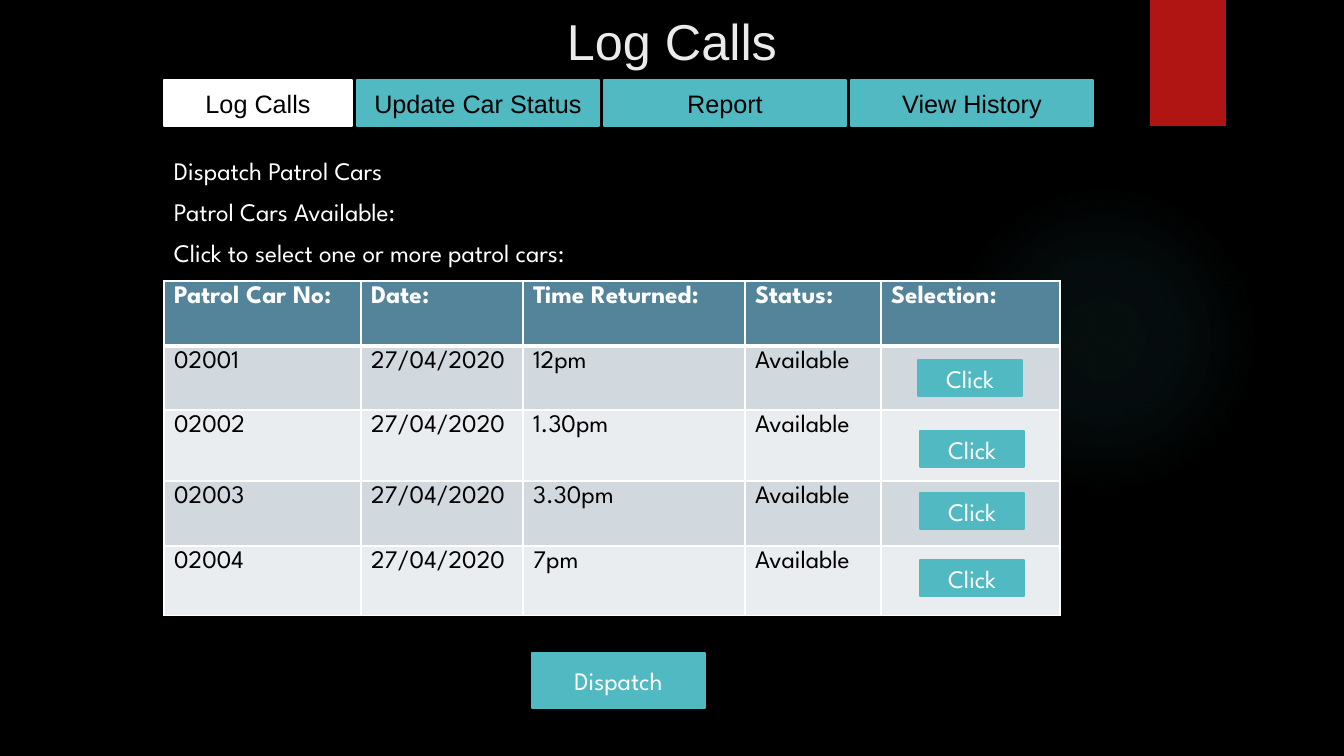
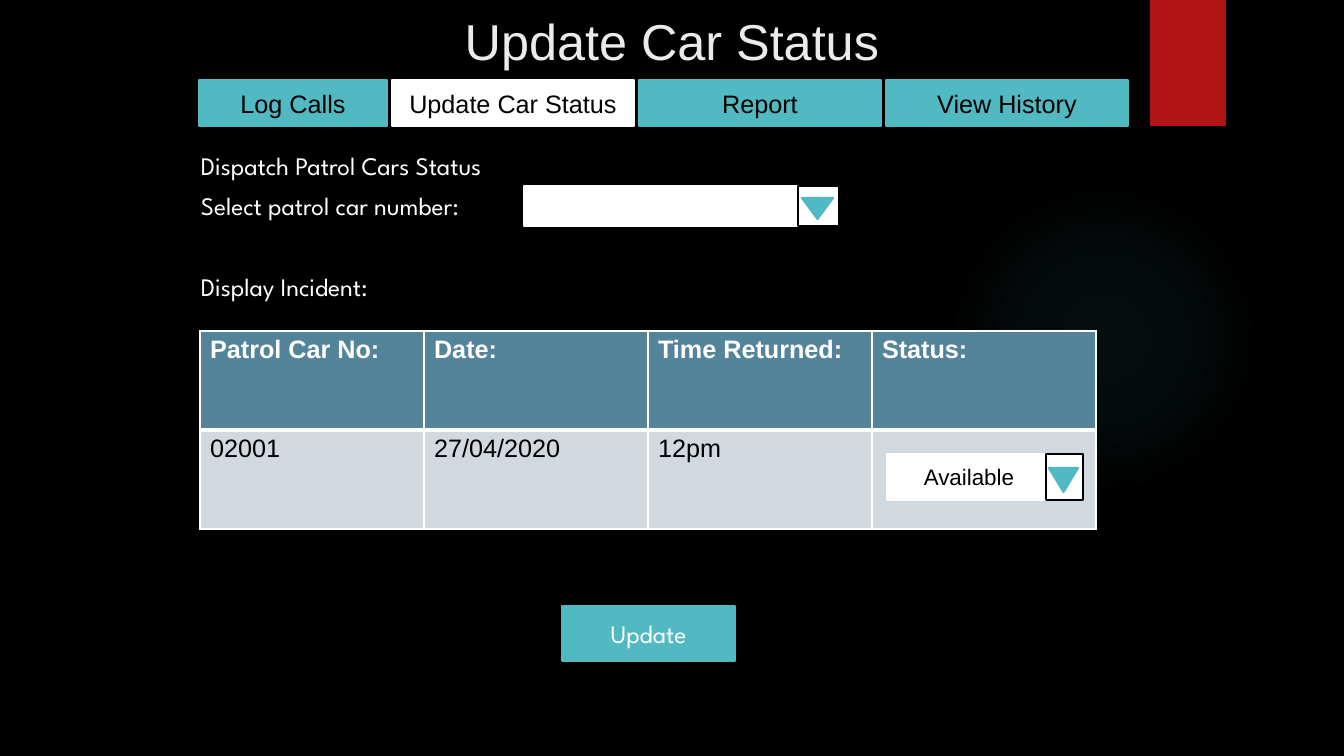
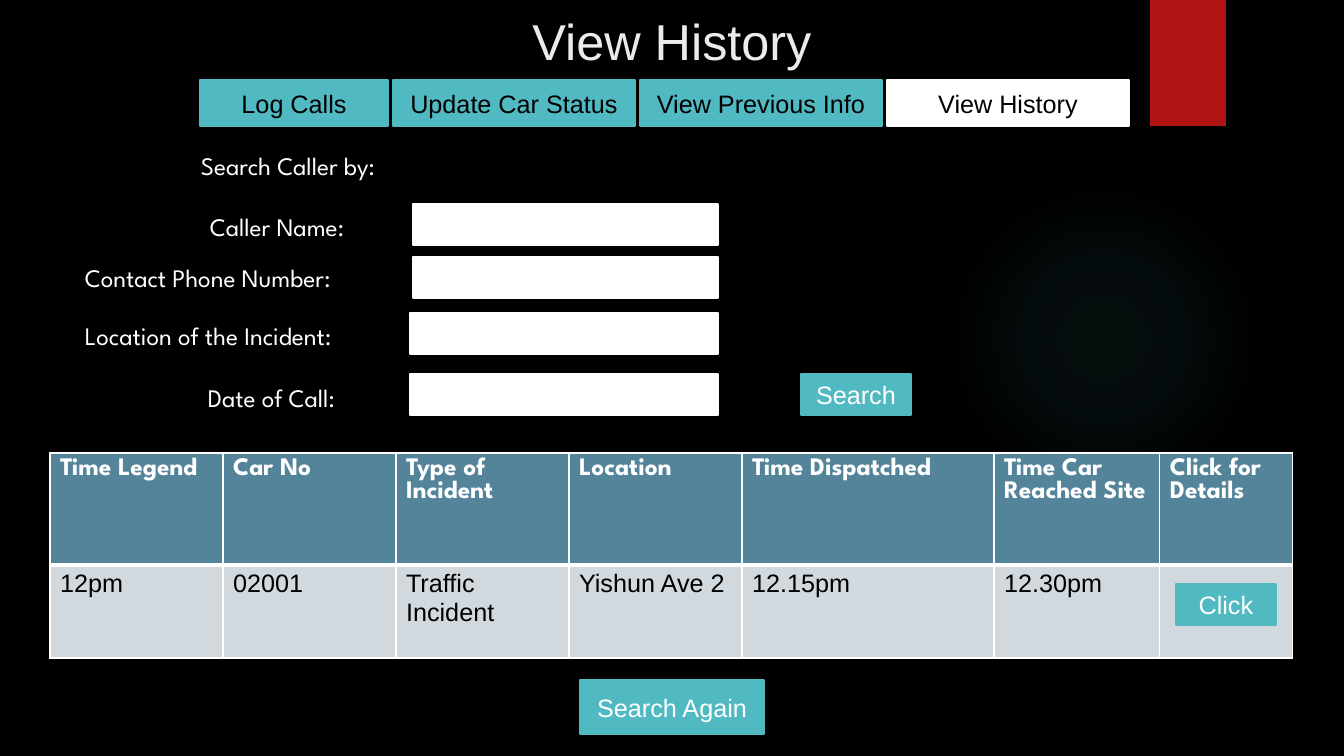
from pptx import Presentation
from pptx.dml.color import RGBColor
from pptx.enum.shapes import MSO_SHAPE
from pptx.enum.text import MSO_ANCHOR, MSO_AUTO_SIZE, PP_ALIGN
from pptx.oxml import parse_xml
from pptx.oxml.ns import nsdecls
from pptx.util import Pt

EMU_PER_PIXEL = 914400 / 100.8
BLACK, WHITE, TITLE_GREY = "000000", "FFFFFF", "EBEBEB"
TEAL, RED, HEADER_BLUE = "50B9C1", "B01513", "54849A"
BAND_FILLS = ("D1D9DE", "E9EDEF")
SANS, DISPLAY = "Arial", "League Spartan"
TAB_WIDTHS, TAB_GAP = (188, 242, 242, 242), 5


def px(pixels):
    """Turn pixels into EMU."""
    return round(pixels * EMU_PER_PIXEL)


def rgb(color):
    """Turn a hex string into a colour."""
    return RGBColor.from_string(color)


def format_text(text_frame, font, size, color, bold=False, align=PP_ALIGN.LEFT):
    """Format every run of a text frame."""
    for paragraph in text_frame.paragraphs:
        paragraph.alignment = align
        for run in paragraph.runs:
            run.font.name = font
            run.font.size = Pt(size)
            run.font.bold = bold
            run.font.color.rgb = rgb(color)


def add_box(slide, box, fill, line=None, preset=MSO_SHAPE.RECTANGLE):
    """Add a filled preset shape; the outline takes the fill colour by default."""
    shape = slide.shapes.add_shape(preset, *map(px, box))
    shape.shadow.inherit = False
    shape.fill.solid()
    shape.fill.fore_color.rgb = rgb(fill)
    shape.line.color.rgb = rgb(line or fill)
    shape.line.width = Pt(1.5)
    return shape


def add_button(slide, box, text, font=DISPLAY, color=WHITE, fill=TEAL):
    """Add a box with a centred caption."""
    shape = add_box(slide, box, fill)
    shape.text_frame.text = text
    shape.text_frame.vertical_anchor = MSO_ANCHOR.MIDDLE
    format_text(shape.text_frame, font, 18, color, align=PP_ALIGN.CENTER)


def add_label(slide, left, top, width, text, font=DISPLAY, size=18, color=WHITE):
    """Add a one-line text box."""
    text_box = slide.shapes.add_textbox(px(left), px(top), px(width), px(40))
    text_box.text_frame.word_wrap = True
    text_box.text_frame.text = text
    format_text(text_box.text_frame, font, size, color)


def add_arrow_box(slide, box, triangle):
    """Add the arrow part of a drop-down list."""
    add_box(slide, box, WHITE, line=BLACK)
    add_box(slide, triangle, TEAL, preset=MSO_SHAPE.ISOSCELES_TRIANGLE).rotation = 180


def set_borders(cell, top, bottom):
    """Draw white cell borders, with top and bottom widths in points."""
    properties = cell._tc.get_or_add_tcPr()
    widths = {"lnL": 1, "lnR": 1, "lnT": top, "lnB": bottom}
    for index, (side, width) in enumerate(widths.items()):
        properties.insert(index, parse_xml(
            f'<a:{side} {nsdecls("a")} w="{Pt(width)}"><a:solidFill>'
            f'<a:srgbClr val="{WHITE}"/></a:solidFill></a:{side}>'))


def add_grid(slide, left, top, widths, heights, rows, header_font, body_font):
    """Add a table with a blue header row and banded body rows."""
    frame = slide.shapes.add_table(len(rows), len(widths), px(left), px(top),
                                   px(sum(widths)), px(sum(heights)))
    table = frame.table
    table.first_row = table.horz_banding = False
    for column, width in zip(table.columns, widths):
        column.width = px(width)
    for index, (row, height, texts) in enumerate(zip(table.rows, heights, rows)):
        row.height = px(height)
        header = index == 0
        for cell, text in zip(row.cells, texts):
            cell.text = text
            format_text(cell.text_frame, header_font if header else body_font, 18,
                        WHITE if header else BLACK, bold=header)
            cell.fill.solid()
            cell.fill.fore_color.rgb = rgb(HEADER_BLUE if header else BAND_FILLS[(index - 1) % 2])
            set_borders(cell, top=3 if index == 1 else 1, bottom=3 if header else 1)


def add_backdrop(slide):
    """Add the faint round glow and the red band."""
    glow = add_box(slide, (949, 184, 310, 310), TEAL, preset=MSO_SHAPE.OVAL)
    glow.line.fill.background()
    stops = "".join(
        f'<a:gs pos="{position}000"><a:srgbClr val="{TEAL}"><a:alpha val="{alpha}000"/>'
        f'</a:srgbClr></a:gs>' for position, alpha in ((0, 7), (36, 6), (69, 0)))
    gradient = parse_xml(
        f'<a:gradFill {nsdecls("a")}><a:gsLst>{stops}</a:gsLst><a:path path="circle">'
        '<a:fillToRect l="50000" t="50000" r="50000" b="50000"/></a:path></a:gradFill>')
    properties = glow._element.spPr
    properties.replace(properties.solidFill, gradient)
    add_box(slide, (1150, 0, 76, 126), RED).line.fill.background()


def add_screen(presentation, title, tabs_left, tabs, active):
    """Add a slide with its backdrop, title and tab bar."""
    slide = presentation.slides.add_slide(presentation.slide_layouts[5])
    add_backdrop(slide)
    heading = slide.shapes.title
    heading.left, heading.top, heading.width, heading.height = map(px, (392, 0, 560, 81))
    text_frame = heading.text_frame
    text_frame.text = title
    text_frame.auto_size = MSO_AUTO_SIZE.NONE
    text_frame.vertical_anchor = MSO_ANCHOR.MIDDLE
    format_text(text_frame, SANS, 36, TITLE_GREY, align=PP_ALIGN.CENTER)
    left = tabs_left
    for tab, width in zip(tabs, TAB_WIDTHS):
        add_button(slide, (left, 80, width, 46), tab, SANS, BLACK,
                   WHITE if tab == active else TEAL)
        left += width + TAB_GAP
    return slide


def build_log_calls(presentation):
    """Build the dispatch screen."""
    tabs = ("Log Calls", "Update Car Status", "Report", "View History")
    slide = add_screen(presentation, "Log Calls", 164, tabs, "Log Calls")
    labels = ("Dispatch Patrol Cars", "Patrol Cars Available:",
              "Click to select one or more patrol cars:")
    for index, label in enumerate(labels):
        add_label(slide, 164, 150 + 41 * index, 521, label)
    returns = (("02001", "12pm"), ("02002", "1.30pm"), ("02003", "3.30pm"), ("02004", "7pm"))
    rows = [("Patrol Car No:", "Date:", "Time Returned:", "Status:", "Selection:")]
    rows += [(car, "27/04/2020", time, "Available", "") for car, time in returns]
    add_grid(slide, 164, 281, (197, 162, 222, 136, 179), (65, 64, 71, 65, 70),
             rows, DISPLAY, DISPLAY)
    for left, top in ((918, 360), (920, 431), (920, 493), (920, 560)):
        add_button(slide, (left, top, 104, 36), "Click")
    add_button(slide, (532, 653, 173, 55), "Dispatch")


def build_update_status(presentation):
    """Build the status update screen."""
    tabs = ("Log Calls", "Update Car Status", "Report", "View History")
    slide = add_screen(presentation, "Update Car Status", 199, tabs, "Update Car Status")
    for top, label in ((145, "Dispatch Patrol Cars Status"),
                       (185, "Select patrol car number:"), (266, "Display Incident:")):
        add_label(slide, 191, top, 351, label)
    add_box(slide, (524, 186, 305, 40), WHITE)
    add_arrow_box(slide, (798, 186, 41, 40), (802, 198, 31, 21))
    rows = (("Patrol Car No:", "Date:", "Time Returned:", "Status:"),
            ("02001", "27/04/2020", "12pm", ""))
    add_grid(slide, 200, 331, (224,) * 4, (99, 99), rows, SANS, SANS)
    add_box(slide, (887, 454, 186, 46), WHITE)
    add_arrow_box(slide, (1046, 454, 37, 46), (1049, 468, 29, 24))
    add_label(slide, 914, 458, 122, "Available", SANS, 16, BLACK)
    add_button(slide, (562, 606, 173, 55), "Update")


def build_view_history(presentation):
    """Build the call search screen."""
    tabs = ("Log Calls", "Update Car Status", "View Previous Info", "View History")
    slide = add_screen(presentation, "View History", 200, tabs, "View History")
    add_label(slide, 191, 145, 242, "Search Caller by:")
    fields = (("Caller Name:", 200, 206, 413, 204),
              ("Contact Phone Number:", 75, 257, 413, 257),
              ("Location of the Incident:", 75, 315, 410, 313),
              ("Date of Call:", 198, 377, 410, 374))
    for label, label_left, label_top, field_left, field_top in fields:
        add_box(slide, (field_left, field_top, 718 - field_left, 41), WHITE)
        add_label(slide, label_left, label_top, 410 - label_left, label)
    add_button(slide, (801, 374, 110, 41), "Search", SANS)
    rows = (("Time Legend", "Car No", "Type of Incident", "Location", "Time Dispatched",
             "Time Car Reached Site", "Click for Details"),
            ("12pm", "02001", "Traffic Incident", "Yishun Ave 2", "12.15pm", "12.30pm", ""))
    add_grid(slide, 50, 453, (173, 173, 173, 173, 252, 166, 133), (112, 93),
             rows, DISPLAY, SANS)
    add_button(slide, (1176, 584, 100, 41), "Click", SANS)
    add_button(slide, (580, 680, 184, 54), "Search Again", SANS)


def main():
    """Build and save the presentation."""
    presentation = Presentation()
    presentation.slide_width, presentation.slide_height = px(1344), px(756)
    background = presentation.slide_master.background.fill
    background.solid()
    background.fore_color.rgb = rgb(BLACK)
    build_log_calls(presentation)
    build_update_status(presentation)
    build_view_history(presentation)
    presentation.save("out.pptx")


main()
